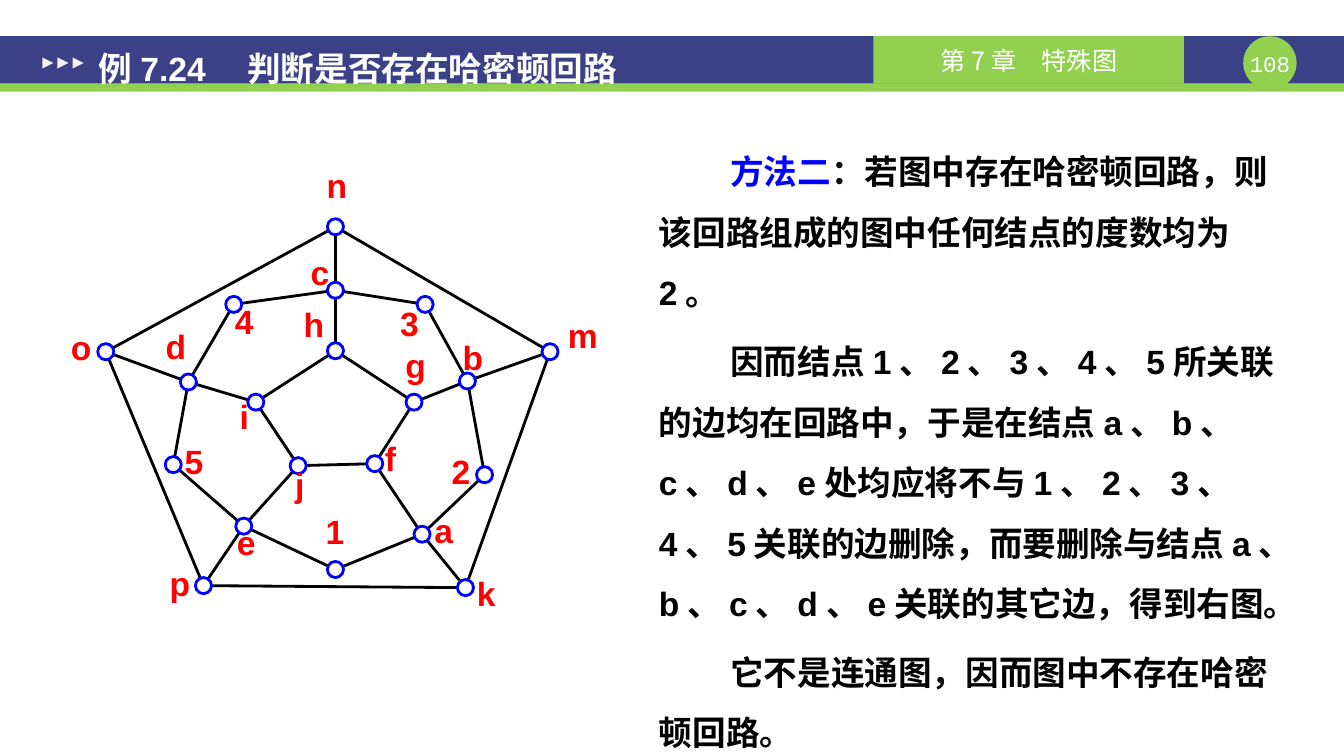
from lxml import etree
from pptx import Presentation
from pptx.dml.color import RGBColor
from pptx.enum.lang import MSO_LANGUAGE_ID as Language
from pptx.enum.shapes import MSO_CONNECTOR as Connector, MSO_SHAPE as Preset
from pptx.enum.text import MSO_ANCHOR as Anchor, MSO_AUTO_SIZE as AutoSize, PP_ALIGN as Align
from pptx.oxml.ns import qn
from pptx.util import Inches, Pt

NAVY = RGBColor(0x3A, 0x41, 0x87)
GREEN = RGBColor(0x92, 0xD0, 0x50)
PALE = RGBColor(0xF2, 0xF2, 0xF2)
WHITE = RGBColor(0xFF, 0xFF, 0xFF)
BLACK = RGBColor(0, 0, 0)
BLUE = RGBColor(0, 0, 0xFF)
RED = RGBColor(0xFF, 0, 0)
CJK = "Noto Sans CJK SC"

TITLE = "例7.24　判断是否存在哈密顿回路"
CHAPTER = "第7章　特殊图"
PAGE_NUMBER = "108"
BODY = [
    [("方法二", BLUE),
     ("：若图中存在哈密顿回路，则该回路组成的图中任何结点的度数均为2。", BLACK)],
    [("因而结点1、2、3、4、5所关联的边均在回路中，于是在结点a、b、c、d、e处均应将不与"
      "1、2、3、4、5关联的边删除，而要删除与结点a、b、c、d、e关联的其它边，得到右图。", BLACK)],
    [("它不是连通图，因而图中不存在哈密顿回路。", BLACK)],
]

# name: (node centre x, y, label left, top)
NODES = {
    "n": (3.33, 2.25, 3.21, 1.64), "m": (5.46, 3.49, 5.65, 3.12),
    "k": (4.62, 5.83, 4.69, 5.68), "p": (2.02, 5.81, 1.65, 5.58),
    "o": (1.05, 3.49, 0.67, 3.24), "c": (3.33, 2.88, 3.04, 2.5),
    "3": (4.22, 3.02, 3.93, 3.01), "b": (4.64, 3.78, 4.56, 3.34),
    "2": (4.81, 4.71, 4.44, 4.47), "a": (4.19, 5.3, 4.27, 5.06),
    "1": (3.33, 5.65, 3.19, 5.07), "e": (2.42, 5.22, 2.31, 5.18),
    "5": (1.72, 4.61, 1.79, 4.37), "d": (1.87, 3.79, 1.61, 3.23),
    "4": (2.32, 3.02, 2.29, 2.99), "h": (3.33, 3.48, 2.98, 3.02),
    "g": (4.11, 3.99, 3.99, 3.42), "f": (3.72, 4.6, 3.74, 4.34),
    "j": (2.96, 4.62, 2.84, 4.6), "i": (2.54, 3.99, 2.29, 3.93),
}
CYCLES = ["nmkpo", "c3b2a1e5d4", "hgfji"]
SPOKES = ["nc", "mb", "ka", "pe", "od", "ch", "bg", "af", "ej", "di"]
NODE_SIZE = 0.16


def add_preset(slide, preset, left, top, width, height, fill, line=None):
    shape = slide.shapes.add_shape(
        preset, Inches(left), Inches(top), Inches(width), Inches(height))
    shape.shadow.inherit = False
    shape.fill.solid()
    shape.fill.fore_color.rgb = fill
    if line is None:
        shape.line.fill.background()
    else:
        shape.line.color.rgb = line
        shape.line.width = Pt(2)
    return shape


def add_run(paragraph, text, size, color, font="Arial", bold=True):
    run = paragraph.add_run()
    run.text = text
    run.font.size, run.font.bold, run.font.name = Pt(size), bold, font
    run.font.color.rgb = color
    run.font.language_id = Language.SIMPLIFIED_CHINESE
    latin = run.font._element.find(qn("a:latin"))
    east_asian = etree.Element(qn("a:ea"), typeface=CJK)
    latin.addnext(east_asian)


def set_frame(frame, horizontal=0, vertical=0, anchor=Anchor.TOP, wrap=True):
    frame.margin_left = frame.margin_right = Inches(horizontal)
    frame.margin_top = frame.margin_bottom = Inches(vertical)
    frame.vertical_anchor = anchor
    frame.auto_size = AutoSize.NONE
    frame.word_wrap = wrap


def add_label(slide, text, left, top, width, height, *style):
    box = slide.shapes.add_textbox(Inches(left), Inches(top), Inches(width), Inches(height))
    set_frame(box.text_frame, wrap=False)
    paragraph = box.text_frame.paragraphs[0]
    paragraph.alignment = Align.CENTER
    add_run(paragraph, text, *style)


def place(slide, placeholder, left, top, width, height):
    placeholder.left, placeholder.top = Inches(left), Inches(top)
    placeholder.width, placeholder.height = Inches(width), Inches(height)
    slide.shapes._spTree.append(placeholder._element)


def add_header(slide):
    add_preset(slide, Preset.RECTANGLE, 0, 0.36, 13.34, 0.47, NAVY)
    add_preset(slide, Preset.RECTANGLE, 0, 0.83, 13.34, 0.08, GREEN)
    add_preset(slide, Preset.OVAL, 12.34, 0.36, 0.53, 0.53, GREEN)
    add_label(slide, PAGE_NUMBER, 12.34, 0.5, 0.53, 0.27, 16, WHITE, "Courier New", False)
    chapter = add_preset(slide, Preset.RECTANGLE, 8.67, 0.36, 3.08, 0.47, GREEN)
    set_frame(chapter.text_frame, 0.1, 0.02, Anchor.MIDDLE)
    chapter.text_frame.paragraphs[0].alignment = Align.CENTER
    add_run(chapter.text_frame.paragraphs[0], CHAPTER, 18, WHITE, CJK, False)
    for index in range(3):
        arrow = add_preset(slide, Preset.ISOSCELES_TRIANGLE,
                           0.42 + 0.15 * index, 0.57, 0.11, 0.11, PALE)
        arrow.rotation = 90


def fill_title(slide):
    title = slide.shapes.title
    place(slide, title, 0.85, 0.44, 7.77, 0.47)
    set_frame(title.text_frame, 0.13, 0, Anchor.MIDDLE)
    title.text_frame.paragraphs[0].alignment = Align.LEFT
    add_run(title.text_frame.paragraphs[0], TITLE, 24, WHITE)


def fill_body(slide):
    body = slide.placeholders[1]
    place(slide, body, 6.41, 1.23, 6.59, 5.77)
    frame = body.text_frame
    set_frame(frame, 0.13, 0.07)
    for index, runs in enumerate(BODY):
        paragraph = frame.paragraphs[0] if index == 0 else frame.add_paragraph()
        properties = paragraph._p.get_or_add_pPr()
        properties.set("marL", "0")
        properties.set("indent", str(Inches(0.71)))
        etree.SubElement(properties, qn("a:buNone"))
        paragraph.line_spacing = 1.5
        paragraph.space_before = Pt(6 if index else 0)
        for text, color in runs:
            add_run(paragraph, text, 24, color)


def add_graph(slide):
    rings = [pair for cycle in CYCLES for pair in zip(cycle, cycle[1:] + cycle[0])]
    for start, end in rings + SPOKES:
        ends = [Inches(value) for name in (start, end) for value in NODES[name][:2]]
        edge = slide.shapes.add_connector(Connector.STRAIGHT, *ends)
        edge.line.color.rgb = BLACK
        edge.line.width = Pt(2)
        etree.SubElement(edge._element.spPr, qn("a:effectLst"))
    for name, (x, y, left, top) in NODES.items():
        add_preset(slide, Preset.OVAL, x - NODE_SIZE / 2, y - NODE_SIZE / 2,
                   NODE_SIZE, NODE_SIZE, WHITE, BLUE)
        add_label(slide, name, left, top, 0.27, 0.4, 24, RED)


def main():
    """Build the slide on Hamiltonian circuits."""
    presentation = Presentation()
    presentation.slide_width, presentation.slide_height = Inches(13.34), Inches(7.5)
    slide = presentation.slides.add_slide(presentation.slide_layouts[1])
    add_header(slide)
    fill_title(slide)
    fill_body(slide)
    add_graph(slide)
    presentation.save("out.pptx")


if __name__ == "__main__":
    main()
